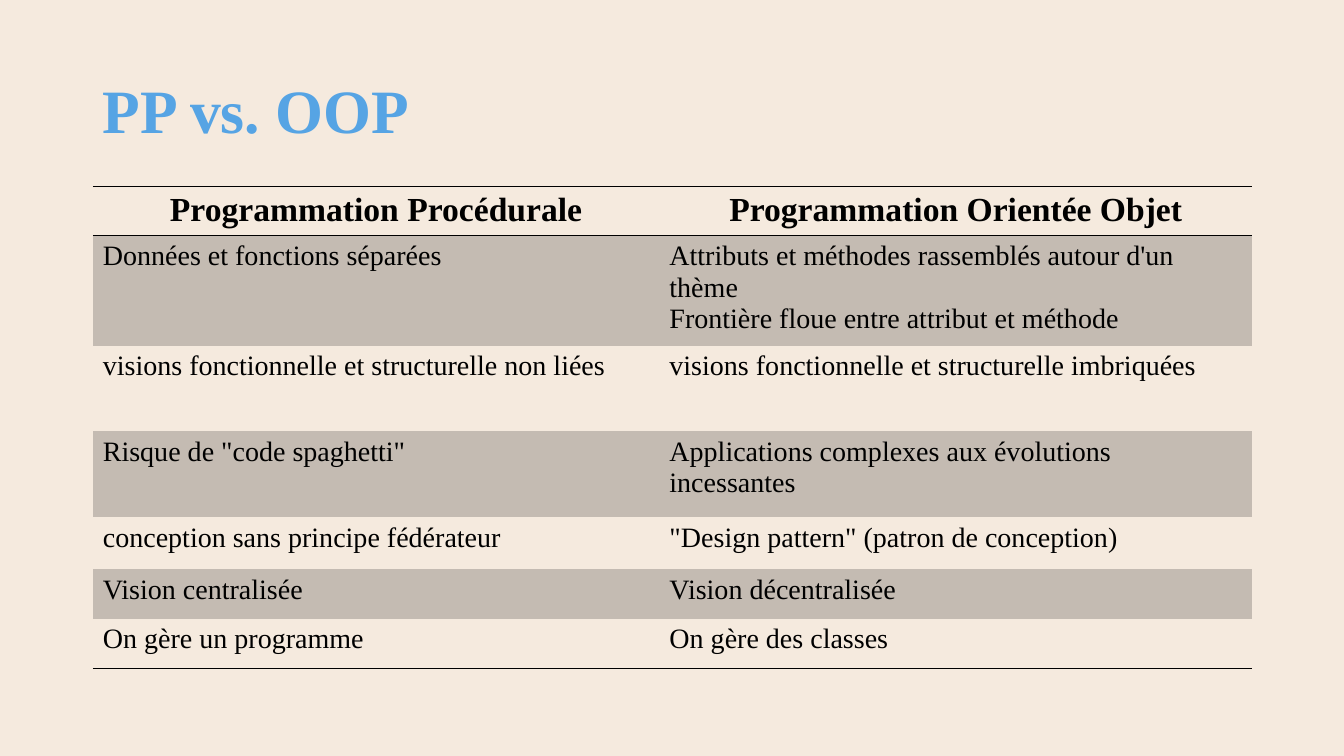
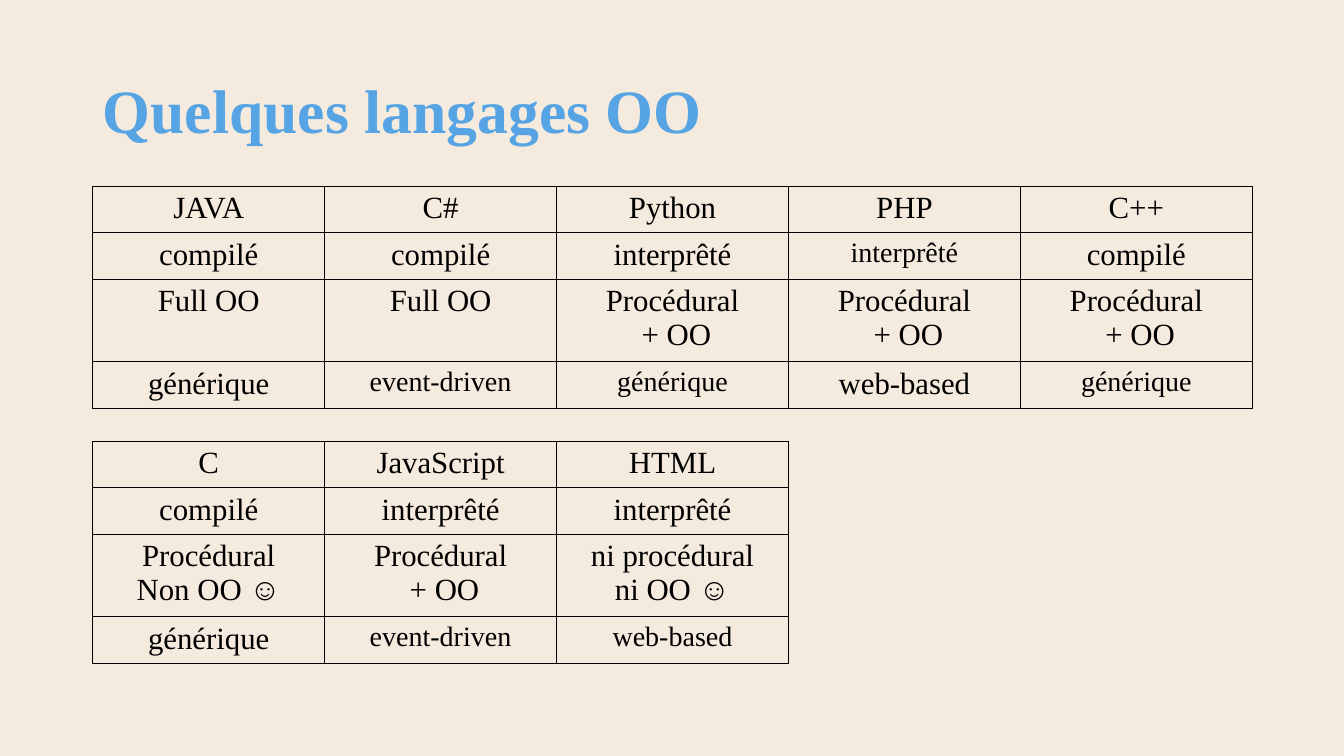
from pptx import Presentation
from pptx.dml.color import RGBColor
from pptx.enum.text import MSO_ANCHOR, MSO_AUTO_SIZE, PP_ALIGN
from pptx.oxml import parse_xml
from pptx.oxml.ns import nsdecls, qn
from pptx.util import Inches, Pt

# Shared look
CREAM = RGBColor(0xF5, 0xEA, 0xDE)
BAND = RGBColor(0xC4, 0xBB, 0xB2)
BLUE = RGBColor(0x56, 0xA4, 0xE4)
BLACK = RGBColor(0, 0, 0)
FONT = "Times New Roman"
LEFT, WIDTH, TABLE_TOP = 0.92, 11.5, 1.85
PLAIN_TABLE_STYLE = "{2D5ABB26-0587-4C30-8999-92F81FD0307C}"

# Slide contents
COMPARISON = [
    ["Programmation Procédurale", "Programmation Orientée Objet"],
    ["Données et fonctions séparées",
     "Attributs et méthodes rassemblés autour d'un thème\n"
     "Frontière floue entre attribut et méthode"],
    ["visions fonctionnelle et structurelle non liées",
     "visions fonctionnelle et structurelle imbriquées"],
    ['Risque de "code spaghetti"', "Applications complexes aux évolutions incessantes"],
    ["conception sans principe fédérateur", '"Design pattern" (patron de conception)'],
    ["Vision centralisée", "Vision décentralisée"],
    ["On gère un programme", "On gère des classes"],
]
COMPARISON_HEIGHTS = [0.49, 1.09, 0.85, 0.85, 0.52, 0.49, 0.49]

MIXED = "Procédural\n + OO"
OO_LANGUAGES = [
    ["JAVA", "C#", "Python", "PHP", "C++"],
    ["compilé", "compilé", "interprêté", "interprêté", "compilé"],
    ["Full OO", "Full OO", MIXED, MIXED, MIXED],
    ["générique", "event-driven", "générique", "web-based", "générique"],
]
OTHER_LANGUAGES = [
    ["C", "JavaScript", "HTML"],
    ["compilé", "interprêté", "interprêté"],
    ["Procédural\nNon OO ☺", MIXED, "ni procédural\nni OO ☺"],
    ["générique", "event-driven", "web-based"],
]
LANGUAGE_HEIGHTS = [0.46, 0.46, 0.82, 0.46]
LANGUAGE_WIDTH = WIDTH / 5


def write_text(frame, text, size, color=BLACK, bold=False, align=PP_ALIGN.LEFT, spacing=None):
    """Write one paragraph for each line of text."""
    frame.word_wrap = True
    frame.text = text
    for paragraph in frame.paragraphs:
        paragraph.alignment = align
        paragraph.line_spacing = spacing
        font = paragraph.runs[0].font
        font.name, font.size, font.bold = FONT, Pt(size), bold
        font.color.rgb = color


def add_titled_slide(presentation, text, top, height):
    slide = presentation.slides.add_slide(presentation.slide_layouts[5])
    title = slide.shapes.title
    title.left, title.top = Inches(LEFT), Inches(top)
    title.width, title.height = Inches(WIDTH), Inches(height)
    frame = title.text_frame
    frame.vertical_anchor = MSO_ANCHOR.MIDDLE
    frame.auto_size = MSO_AUTO_SIZE.NONE
    write_text(frame, text, 44, color=BLUE, bold=True, spacing=0.9)
    return slide


def set_borders(cell, sides):
    """Draw 1 pt lines on the given sides, listed in the order L, R, T, B."""
    properties = cell._tc.get_or_add_tcPr()
    for side in sides:
        properties.append(parse_xml(
            f'<a:ln{side} {nsdecls("a")} w="12700"><a:solidFill>'
            f'<a:srgbClr val="{BLACK}"/></a:solidFill></a:ln{side}>'))


def add_plain_table(slide, top, column_widths, row_heights):
    frame = slide.shapes.add_table(
        len(row_heights), len(column_widths), Inches(LEFT), Inches(top),
        Inches(sum(column_widths)), Inches(sum(row_heights)))
    table = frame.table
    table.first_row = table.horz_banding = False
    table._tbl.tblPr.find(qn("a:tableStyleId")).text = PLAIN_TABLE_STYLE
    for column, width in zip(table.columns, column_widths):
        column.width = Inches(width)
    for row, height in zip(table.rows, row_heights):
        row.height = Inches(height)
    return table


def add_comparison_table(slide):
    table = add_plain_table(slide, TABLE_TOP, [5.62, 5.88], COMPARISON_HEIGHTS)
    borders = {0: "TB", len(COMPARISON) - 1: "B"}
    for row, texts in enumerate(COMPARISON):
        for column, text in enumerate(texts):
            cell = table.cell(row, column)
            set_borders(cell, borders.get(row, ""))
            if row % 2:
                cell.fill.solid()
                cell.fill.fore_color.rgb = BAND
            else:
                cell.fill.background()
            if row == 0:
                write_text(cell.text_frame, text, 24, bold=True, align=PP_ALIGN.CENTER)
            else:
                write_text(cell.text_frame, text, 20)


def add_language_table(slide, top, rows, small_cells):
    """Add a full grid; small_cells holds the (row, column) pairs set at 20 pt."""
    table = add_plain_table(slide, top, [LANGUAGE_WIDTH] * len(rows[0]), LANGUAGE_HEIGHTS)
    for row, texts in enumerate(rows):
        for column, text in enumerate(texts):
            cell = table.cell(row, column)
            set_borders(cell, "LRTB")
            cell.fill.background()
            size = 20 if (row, column) in small_cells else 22
            write_text(cell.text_frame, text, size, align=PP_ALIGN.CENTER)


def main():
    presentation = Presentation()
    presentation.slide_width, presentation.slide_height = Inches(13.33), Inches(7.5)
    background = presentation.slide_master.background.fill
    background.solid()
    background.fore_color.rgb = CREAM

    # Procedural and object-oriented programming
    slide = add_titled_slide(presentation, "PP vs. OOP", 0.4, 1.45)
    add_comparison_table(slide)

    # Languages
    slide = add_titled_slide(presentation, "Quelques langages OO", 0.74, 0.77)
    add_language_table(slide, TABLE_TOP, OO_LANGUAGES, {(1, 3), (3, 1), (3, 2), (3, 4)})
    add_language_table(slide, 4.38, OTHER_LANGUAGES, {(3, 1), (3, 2)})

    presentation.save("out.pptx")


if __name__ == "__main__":
    main()
